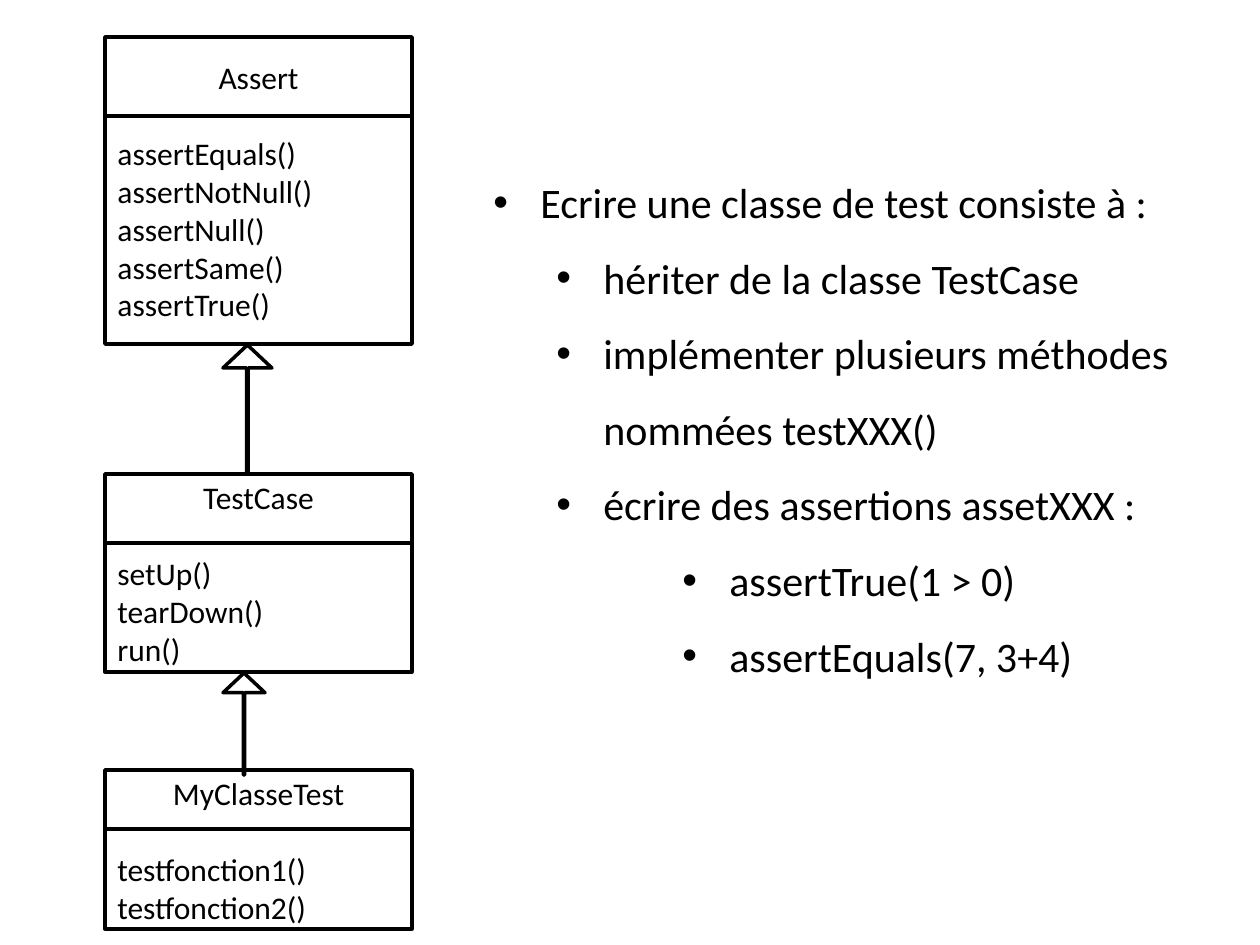
import pptx
import pptx.util
import pptx.dml.color
import pptx.enum.shapes
import pptx.enum.text
import pptx.oxml.ns
from lxml import etree

SCALE = 914400 / 126
BLACK = "000000"
LEFT, WIDTH = 105, 307
SHAPE = pptx.enum.shapes.MSO_SHAPE
ALIGN = pptx.enum.text.PP_ALIGN


def px(count):
    """Turn pixels into EMU."""
    return pptx.util.Emu(round(count * SCALE))


def color(code):
    """Turn a hex string into a colour."""
    return pptx.dml.color.RGBColor.from_string(code)


def sub(node, tag, **attrs):
    """Append a child element to an XML node."""
    return etree.SubElement(node, pptx.oxml.ns.qn(tag), **attrs)


def write(frame, text, size=18, align=ALIGN.LEFT, before=0, space=None, level=None):
    """Add one paragraph to a text frame, with a bullet if it has a level."""
    para = frame.paragraphs[0]
    if para.runs:
        para = frame.add_paragraph()
    para.alignment = align
    para.space_before = pptx.util.Pt(before)
    para.line_spacing = space
    run = para.add_run()
    run.text = text
    run.font.size = pptx.util.Pt(size)
    run.font.name = "Calibri"
    run.font.color.rgb = color(BLACK)
    if level is not None:
        para.level = level
        props = para._p.get_or_add_pPr()
        props.set("marL", str(px(47 + 63 * level)))
        props.set("indent", str(-px(47)))
        sub(props, "a:buFont", typeface="Arial")
        sub(props, "a:buChar", char="•")


def outline(slide, kind, left, top, width, height):
    """Add an unfilled shape with a black outline."""
    shape = slide.shapes.add_shape(kind, px(left), px(top), px(width), px(height))
    shape.shadow.inherit = False
    shape.fill.background()
    shape.line.color.rgb = color(BLACK)
    shape.line.width = pptx.util.Pt(2)
    return shape


def rule(slide, top):
    """Add the line below a class name."""
    kind = pptx.enum.shapes.MSO_CONNECTOR.STRAIGHT
    line = slide.shapes.add_connector(kind, px(LEFT), px(top), px(LEFT + WIDTH), px(top))
    line.line.color.rgb = color(BLACK)
    line.line.width = pptx.util.Pt(1.75)
    sub(line._element.spPr, "a:effectLst")


def unit(slide, name, methods, top, height, split):
    """Add a class box with its name and methods."""
    frame = outline(slide, SHAPE.RECTANGLE, LEFT, top, WIDTH, height).text_frame
    frame.word_wrap = True
    frame.vertical_anchor = pptx.enum.text.MSO_ANCHOR.MIDDLE
    write(frame, name, align=ALIGN.CENTER)
    for place, method in enumerate(methods):
        write(frame, method, before=0 if place else 22)
    rule(slide, split)


def arrow(slide, top, width, height):
    """Add an inheritance arrow."""
    shape = outline(slide, SHAPE.UP_ARROW, 223, top, width, height)
    shape.adjustments[0] = 0.03
    shape.adjustments[1] = 0.47


def points(slide, items):
    """Add the bulleted list."""
    frame = slide.shapes.add_textbox(px(481), px(145), px(737), px(547)).text_frame
    frame.word_wrap = True
    frame.auto_size = pptx.enum.text.MSO_AUTO_SIZE.SHAPE_TO_FIT_TEXT
    for level, text in items:
        write(frame, text, size=24, space=1.5, level=level)


def main():
    """Build the slide and save it."""
    deck = pptx.Presentation()
    deck.slide_width, deck.slide_height = px(1260), px(945)
    slide = deck.slides.add_slide(deck.slide_layouts[6])
    points(slide, [
        (0, "Ecrire une classe de test consiste à :"),
        (1, "hériter de la classe TestCase"),
        (1, "implémenter plusieurs méthodes nommées testXXX()"),
        (1, "écrire des assertions assetXXX :"),
        (3, "assertTrue(1 > 0)"),
        (3, "assertEquals(7, 3+4)"),
    ])
    checks = ["assertEquals()", "assertNotNull()", "assertNull()", "assertSame()", "assertTrue()"]
    unit(slide, "Assert", checks, 37, 307, 116)
    unit(slide, "TestCase", ["setUp()", "tearDown()", "run()"], 474, 198, 543)
    unit(slide, "MyClasseTest", ["testfonction1()", "testfonction2()"], 770, 159, 829)
    arrow(slide, 345, 49, 127)
    arrow(slide, 673, 42, 102)
    deck.save("out.pptx")


if __name__ == "__main__":
    main()
